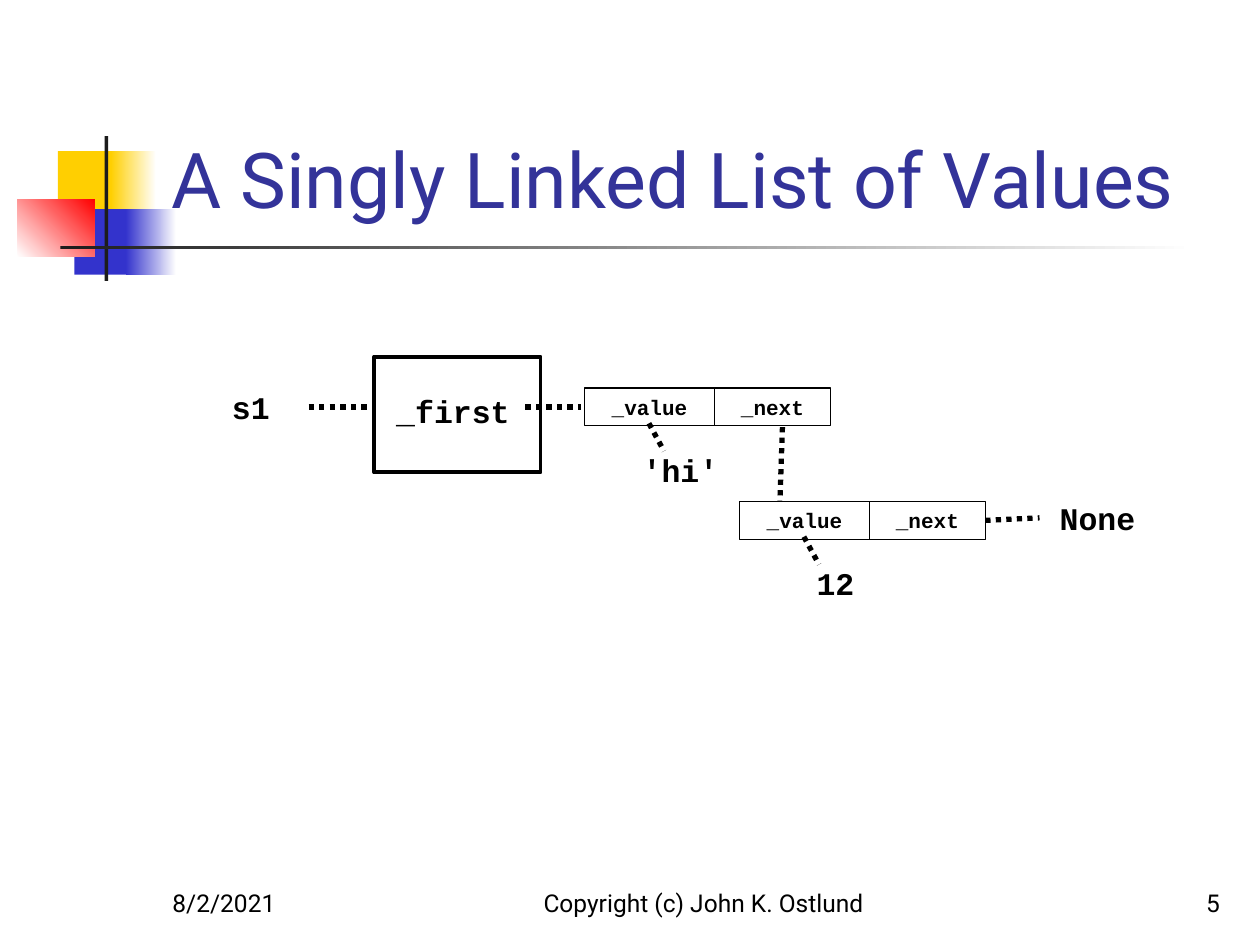
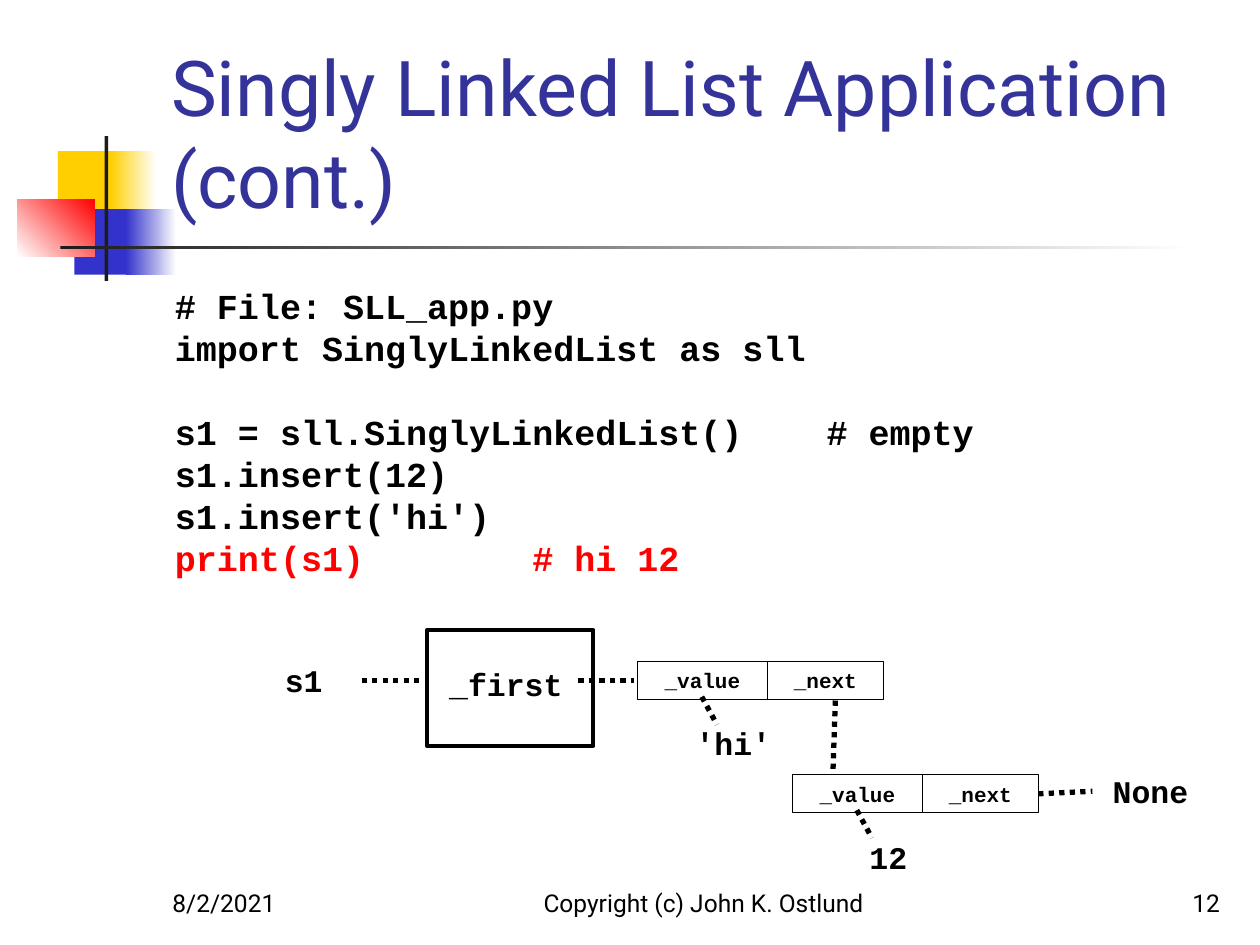
from lxml import etree
from pptx import Presentation
from pptx.dml.color import RGBColor
from pptx.enum.dml import MSO_LINE
from pptx.enum.shapes import MSO_CONNECTOR, MSO_SHAPE
from pptx.enum.text import MSO_ANCHOR, PP_ALIGN
from pptx.oxml.ns import qn
from pptx.util import Inches, Pt

RECT = MSO_SHAPE.RECTANGLE
STRAIGHT = MSO_CONNECTOR.STRAIGHT
DOTTED = MSO_LINE.ROUND_DOT
TOP, BOTTOM = MSO_ANCHOR.TOP, MSO_ANCHOR.BOTTOM
LEFT, CENTER, RIGHT = PP_ALIGN.LEFT, PP_ALIGN.CENTER, PP_ALIGN.RIGHT

BLACK = RGBColor(0x00, 0x00, 0x00)
WHITE = RGBColor(0xFF, 0xFF, 0xFF)
CHARCOAL = RGBColor(0x1C, 0x1C, 0x1C)
YELLOW = RGBColor(0xFF, 0xCF, 0x01)
BLUE = RGBColor(0x33, 0x33, 0xCC)
RED = RGBColor(0xFF, 0x00, 0x00)
TITLE_BLUE = RGBColor(0x33, 0x33, 0x99)

SANS = "Roboto"
MONO = "Courier New"

VALUE_W, NEXT_W, CELL_H = 1.03, 0.92, 0.3
LABEL_W, LABEL_H = 0.92, 0.4

CODE = [
    "# File: SLL_app.py",
    "import SinglyLinkedList as sll",
    "",
    "s1 = sll.SinglyLinkedList()    # empty",
    "s1.insert(12)",
    "s1.insert('hi')",
    "print(s1)        # hi 12",
]


class Deck:
    def __init__(self):
        self.prs = Presentation()
        self.prs.slide_width = Inches(10)
        self.prs.slide_height = Inches(7.5)
        self.s = None

    def slide(self, title, number):
        self.s = self.prs.slides.add_slide(self.prs.slide_layouts[6])
        self.rect(0.46, 1.2, 0.48, 0.52, fill=YELLOW)
        self.rect(0.88, 1.2, 0.36, 0.52, fill=[YELLOW, WHITE])
        self.rect(0.59, 1.66, 0.46, 0.52, fill=BLUE)
        self.rect(1, 1.66, 0.4, 0.52, fill=[BLUE, WHITE])
        self.rect(0.14, 1.58, 0.61, 0.46, fill=[WHITE, RED], angle=45)
        self.rect(0.83, 1.08, 0.03, 1.15, fill=CHARCOAL)
        self.rect(0.48, 1.95, 9, 0.03, fill=[CHARCOAL, WHITE])
        self.text(title, 1.26, 0.23, 8.52, 1.6, 44, color=TITLE_BLUE, anchor=BOTTOM)
        footers = [
            ("8/2/2021", 1.27, 2.08, LEFT),
            ("Copyright (c) John K. Ostlund", 4, 3.17, CENTER),
            (str(number), 7.7, 2.08, RIGHT),
        ]
        for text, x, w, align in footers:
            self.text(text, x, 6.83, w, 0.5, 14, align=align, anchor=BOTTOM)

    def rect(self, x, y, w, h, fill=None, angle=0, line=None):
        sp = self.s.shapes.add_shape(RECT, Inches(x), Inches(y), Inches(w), Inches(h))
        sp.shadow.inherit = False
        if fill is None:
            sp.fill.background()
        elif isinstance(fill, list):
            sp.fill.gradient()
            sp.fill.gradient_angle = angle
            for stop, color in zip(sp.fill.gradient_stops, fill):
                stop.color.rgb = color
        else:
            sp.fill.solid()
            sp.fill.fore_color.rgb = fill
        if line is None:
            sp.line.fill.background()
        else:
            sp.line.color.rgb = BLACK
            sp.line.width = Pt(line)
        return sp

    def run(self, p, text, size, font, color):
        r = p.add_run()
        r.text = text
        r.font.size = Pt(size)
        r.font.name = font
        r.font.bold = font == MONO
        r.font.color.rgb = color

    def box(self, x, y, w, h, anchor=TOP):
        tf = self.s.shapes.add_textbox(
            Inches(x), Inches(y), Inches(w), Inches(h)).text_frame
        tf.word_wrap = True
        tf.vertical_anchor = anchor
        return tf

    def text(self, text, x, y, w, h, size, font=SANS, color=BLACK, align=LEFT, anchor=TOP):
        p = self.box(x, y, w, h, anchor).paragraphs[0]
        p.alignment = align
        self.run(p, text, size, font, color)

    def label(self, text, x, y, w=LABEL_W):
        self.text(text, x, y, w, LABEL_H, 18, MONO, align=CENTER)

    def code(self, lines, x, y, w, h, size=20, pitch=24):
        tf = self.box(x, y, w, h)
        p = tf.paragraphs[0]
        gap = 0
        for i, line in enumerate(lines):
            if not line:
                gap += pitch
                continue
            if i:
                p = tf.add_paragraph()
            p.line_spacing = Pt(pitch)
            if gap:
                p.space_before = Pt(gap)
            gap = 0
            self.run(p, line, size, MONO, RED if line.startswith("print") else BLACK)

    def cell(self, text, x, y, w):
        sp = self.rect(x, y, w, CELL_H, line=0.75)
        tf = sp.text_frame
        tf.word_wrap = True
        tf.vertical_anchor = TOP
        p = tf.paragraphs[0]
        p.alignment = CENTER
        self.run(p, text, 12, MONO, BLACK)
        return sp

    def link(self, x1, y1, x2, y2):
        c = self.s.shapes.add_connector(
            STRAIGHT, Inches(x1), Inches(y1), Inches(x2), Inches(y2))
        c.line.color.rgb = BLACK
        c.line.width = Pt(3)
        c.line.dash_style = DOTTED
        etree.SubElement(c._element.spPr, qn("a:effectLst"))
        return c

    def node(self, value, x, y):
        self.cell("_value", x, y, VALUE_W)
        next_cell = self.cell("_next", x + VALUE_W, y, NEXT_W)
        self.link(x + 0.51, y + 0.28, x + 0.63, y + 0.5)
        self.label(value, x + 0.3, y + 0.45)
        return next_cell

    def linked_list(self, x, y):
        self.rect(x, y, 1.32, 0.92, line=2.25)
        self.label("_first", x + 0.04, y + 0.23, 1.17)
        self.label("s1", x - 1.44, y + 0.2)
        self.link(x - 0.52, y + 0.4, x - 0.04, y + 0.4)
        self.link(x + 1.2, y + 0.4, x + 1.64, y + 0.4)
        self.node("'hi'", x + 1.67, y + 0.25)
        self.link(x + 3.24, y + 0.56, x + 3.22, y + 1.15)
        last = self.node("12", x + 2.9, y + 1.15)
        self.link(x + 4.84, y + 1.3, x + 5.28, y + 1.28).begin_connect(last, 3)
        self.label("None", x + 5.28, y + 1.08)


def main():
    deck = Deck()
    deck.slide("A Singly Linked List of Values", 5)
    deck.linked_list(2.97, 2.83)

    deck.slide("Singly Linked List Application (cont.)", 12)
    deck.code(CODE, 1.29, 2.21, 8.5, 4.5)
    deck.linked_list(3.39, 5)
    deck.prs.save("out.pptx")


if __name__ == "__main__":
    main()
